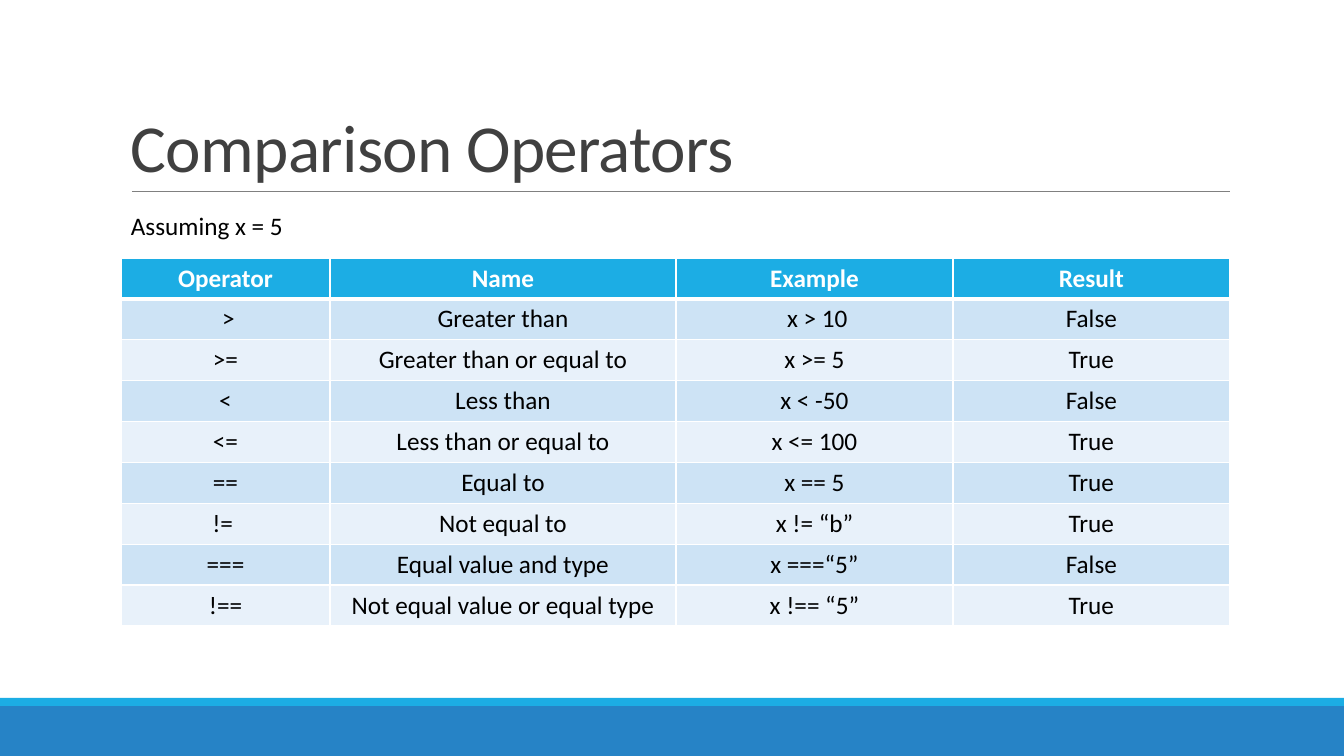
from dataclasses import dataclass

from lxml.etree import SubElement
from pptx import Presentation
from pptx.dml.color import RGBColor
from pptx.enum.shapes import MSO_CONNECTOR, MSO_SHAPE
from pptx.enum.text import MSO_ANCHOR, PP_ALIGN
from pptx.oxml import parse_xml
from pptx.oxml.ns import nsdecls, qn
from pptx.util import Pt

EMU_PER_PX = 914400 / 100.8
SLIDE_WIDTH, SLIDE_HEIGHT = 1344, 756


@dataclass(frozen=True)
class Theme:
    font: str = "Calibri"
    title_size: int = 48
    body_size: int = 18
    title: str = "404040"
    text: str = "000000"
    white: str = "FFFFFF"
    rule: str = "808080"
    accent: str = "1CADE4"
    footer: str = "2683C6"
    bands: tuple = ("CDE3F5", "E8F1FA")


THEME = Theme()

HEADER = ("Operator", "Name", "Example", "Result")
OPERATORS = (
    (" >", "Greater than", " x > 10", "False"),
    (">=", "Greater than or equal to", "x >= 5", "True"),
    ("<", "Less than", "x < -50", "False"),
    ("<=", "Less than or equal to", "x <= 100", "True"),
    ("==", "Equal to", "x == 5", "True"),
    ("!= ", "Not equal to", "x != “b”", "True"),
    ("===", "Equal value and type", "x ===“5”", "False"),
    ("!==", "Not equal value or equal type", "x !== “5”", "True"),
)
COLUMN_WIDTHS = (209, 346, 277, 277)


def px(*lengths):
    return [round(length * EMU_PER_PX) for length in lengths]


def color(value):
    return RGBColor.from_string(value)


def write(paragraph, text, size, ink, bold=False):
    run = paragraph.add_run()
    run.text = text
    formats = {"name": THEME.font, "size": Pt(size), "bold": bold}
    for name, value in formats.items():
        setattr(run.font, name, value)
    run.font.color.rgb = color(ink)
    return run


def add_text_frame(slide, box, **formats):
    frame = slide.shapes.add_textbox(*px(*box)).text_frame
    for name, value in formats.items():
        setattr(frame, name, value)
    return frame


def add_footer(slide, box):
    left, top, width, height = box
    stripe = 8
    bands = ((top + stripe, height - stripe, THEME.footer), (top, stripe, THEME.accent))
    for band_top, band_height, fill in bands:
        shape = slide.shapes.add_shape(
            MSO_SHAPE.RECTANGLE, *px(left, band_top, width, band_height))
        shape.shadow.inherit = False
        shape.fill.solid()
        shape.fill.fore_color.rgb = color(fill)
        shape.line.fill.background()


def add_title(slide, box):
    left, top, width, height = box
    # Rule under the title
    bottom = top + height
    rule = slide.shapes.add_connector(
        MSO_CONNECTOR.STRAIGHT, *px(left + 11, bottom, left + width, bottom))
    rule.line.color.rgb = color(THEME.rule)
    rule.line.width = Pt(0.5)
    SubElement(rule._element.spPr, qn("a:effectLst"))
    # Title text
    frame = add_text_frame(slide, box, word_wrap=True, vertical_anchor=MSO_ANCHOR.BOTTOM)
    paragraph = frame.paragraphs[0]
    paragraph.line_spacing = 0.85
    run = write(paragraph, "Comparison Operators", THEME.title_size, THEME.title)
    run.font._element.set("spc", "-50")


def add_assumption(slide, box):
    frame = add_text_frame(slide, box, word_wrap=False)
    write(frame.paragraphs[0], "Assuming x = 5", THEME.body_size, THEME.text)


def add_borders(cell, widths):
    properties = cell._tc.get_or_add_tcPr()
    for index, (side, width) in enumerate(widths.items()):
        properties.insert(index, parse_xml(
            f'<a:ln{side} {nsdecls("a")} w="{Pt(width)}"><a:solidFill>'
            f'<a:srgbClr val="{THEME.white}"/></a:solidFill></a:ln{side}>'))


def add_operator_table(slide, box):
    rows = (HEADER, *OPERATORS)
    table = slide.shapes.add_table(len(rows), len(HEADER), *px(*box)).table
    table.first_row = table.horz_banding = False
    for column, width in zip(table.columns, COLUMN_WIDTHS):
        column.width = px(width)[0]
    for row_index, texts in enumerate(rows):
        is_header = row_index == 0
        fill = THEME.accent if is_header else THEME.bands[(row_index - 1) % 2]
        ink = THEME.white if is_header else THEME.text
        borders = {"L": 1, "R": 1, "T": 3 if row_index == 1 else 1,
                   "B": 3 if is_header else 1}
        for column_index, text in enumerate(texts):
            cell = table.cell(row_index, column_index)
            cell.fill.solid()
            cell.fill.fore_color.rgb = color(fill)
            add_borders(cell, borders)
            paragraph = cell.text_frame.paragraphs[0]
            paragraph.alignment = PP_ALIGN.CENTER
            write(paragraph, text, THEME.body_size, ink, is_header)


def build_operators_slide(presentation):
    slide = presentation.slides.add_slide(presentation.slide_layouts[6])
    left, width = 121, sum(COLUMN_WIDTHS)
    add_footer(slide, (0, 698, SLIDE_WIDTH, 58))
    add_title(slide, (left, 31, width, 160))
    add_operator_table(slide, (left, 258, width, 368))
    add_assumption(slide, (left, 205, 174, 40))


def main():
    presentation = Presentation()
    presentation.slide_width, presentation.slide_height = px(SLIDE_WIDTH, SLIDE_HEIGHT)
    build_operators_slide(presentation)
    presentation.save("out.pptx")


if __name__ == "__main__":
    main()
